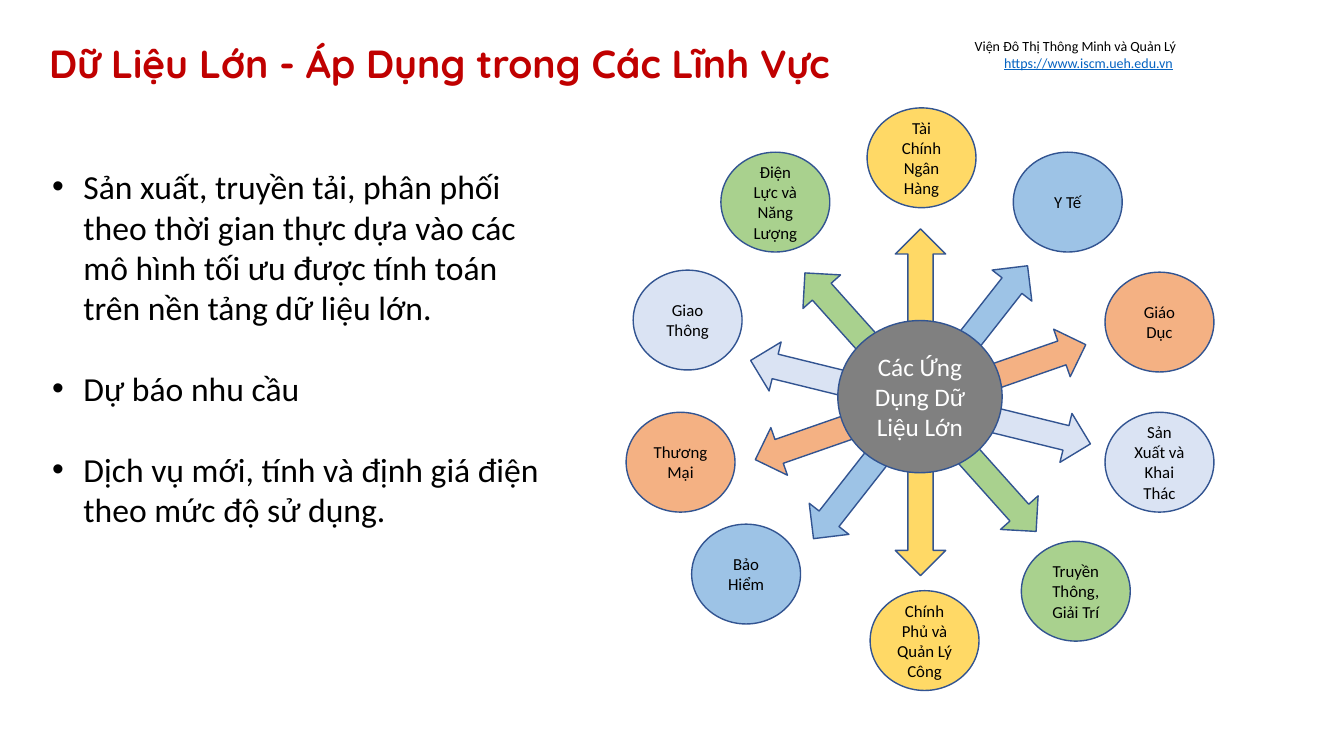
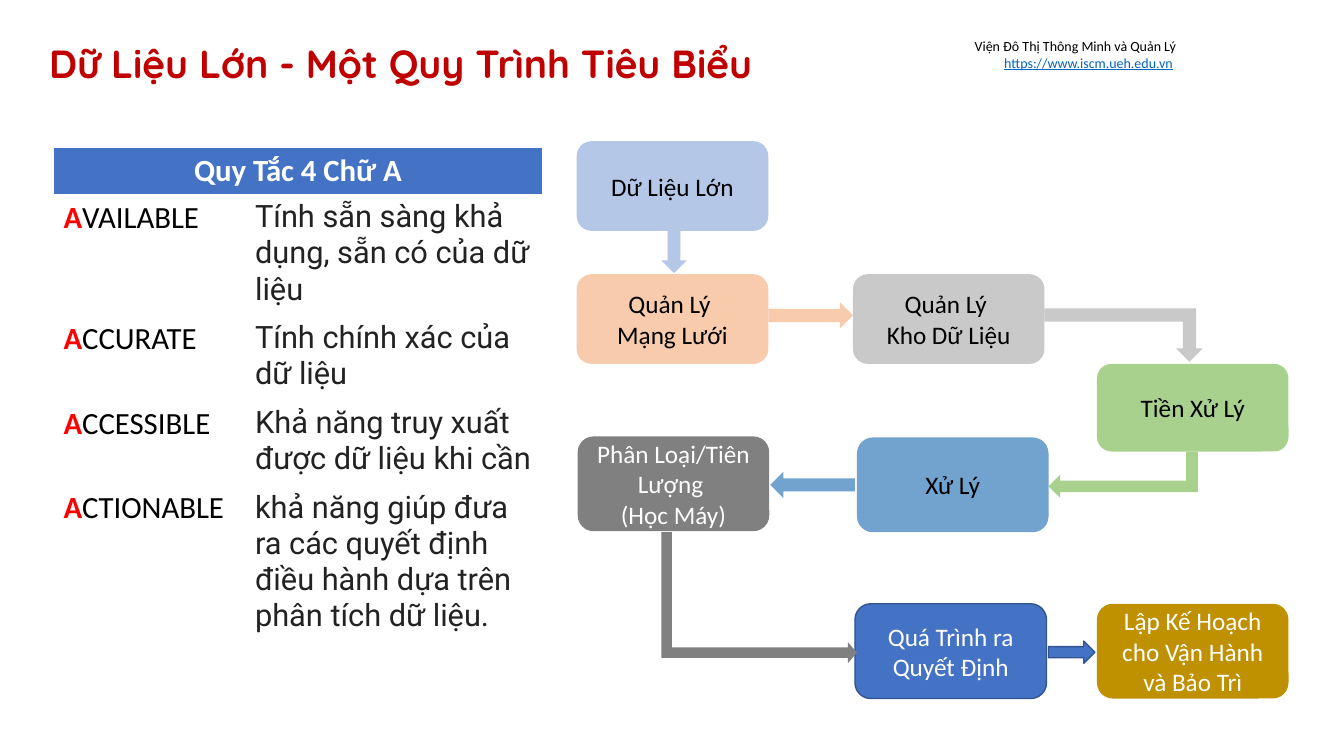
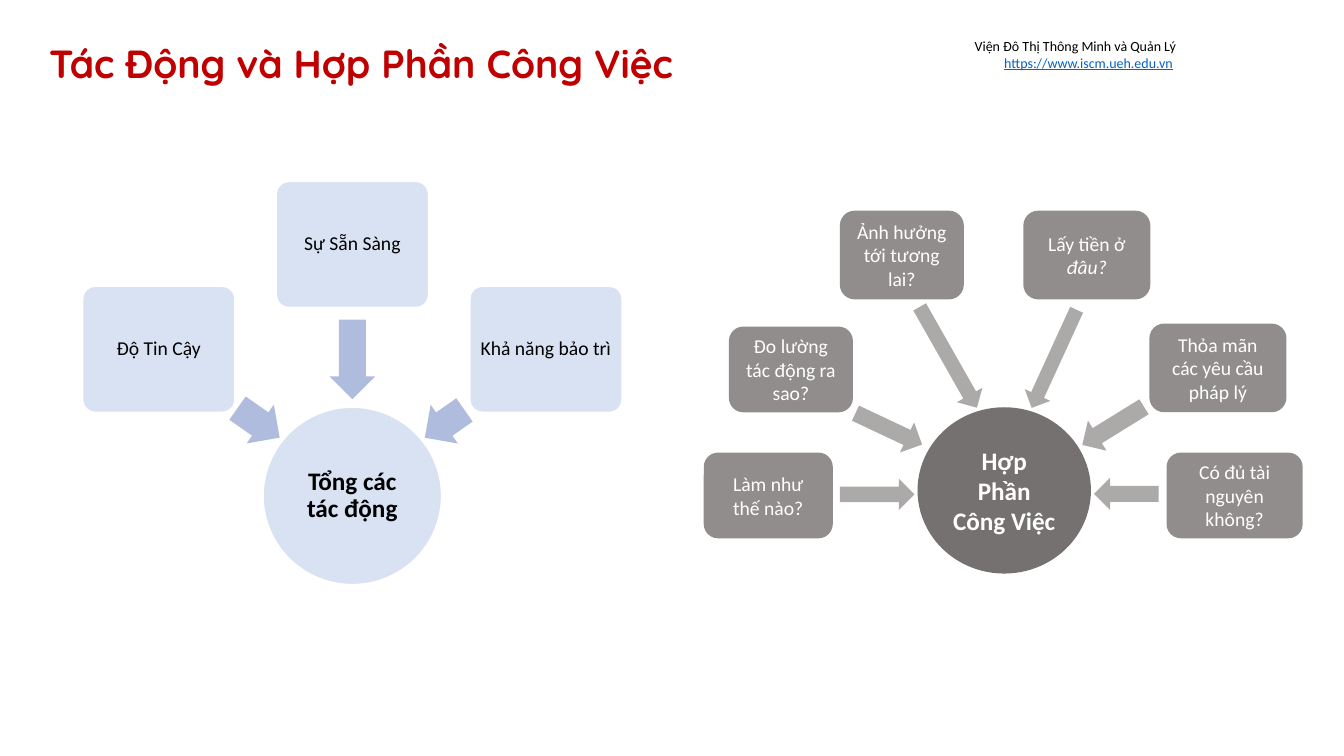
from collections import namedtuple
from dataclasses import dataclass

from lxml import etree
from pptx import Presentation
from pptx.dml.color import RGBColor
from pptx.enum.shapes import MSO_SHAPE
from pptx.enum.text import MSO_ANCHOR, PP_ALIGN
from pptx.oxml.ns import qn
from pptx.util import Pt

ELLIPSE = MSO_SHAPE.OVAL
ROUNDED = MSO_SHAPE.ROUNDED_RECTANGLE
LEFT_ARROW = MSO_SHAPE.LEFT_ARROW
RIGHT_ARROW = MSO_SHAPE.RIGHT_ARROW
DOWN_ARROW = MSO_SHAPE.DOWN_ARROW
BENT_ARROW = MSO_SHAPE.BENT_UP_ARROW
DOUBLE_ARROW = MSO_SHAPE.LEFT_RIGHT_ARROW
CENTER, RIGHT = PP_ALIGN.CENTER, PP_ALIGN.RIGHT
MIDDLE, BOTTOM = MSO_ANCHOR.MIDDLE, MSO_ANCHOR.BOTTOM

EMU_PER_PX = 9144  # 100 px to the inch

Box = namedtuple("Box", "left top width height")


@dataclass(frozen=True)
class Theme:
    title_font: str = "Quicksand"
    body_font: str = "Calibri"
    table_font: str = "Roboto"
    title_size: int = 28
    bullet_size: int = 24
    table_size: int = 22
    label_size: int = 18
    node_size: int = 14
    small_size: int = 12
    header_size: int = 10
    black: str = "000000"
    white: str = "FFFFFF"
    title: str = "C00000"
    link: str = "0563C1"
    initial: str = "FF0000"
    table_text: str = "222222"
    outline: str = "325491"
    blue: str = "4472C4"
    deep_blue: str = "2E75B6"
    sky: str = "9DC3E6"
    pale_blue: str = "DAE3F3"
    soft_blue: str = "B4C7E7"
    lavender: str = "B0BCDE"
    green: str = "A9D18E"
    yellow: str = "FFD966"
    gold: str = "BF9000"
    orange: str = "F4B183"
    peach: str = "F8CBAD"
    gray: str = "808080"
    light_gray: str = "C9C9C9"
    warm_gray: str = "767171"


THEME = Theme()


def px(value):
    return round(value * EMU_PER_PX)


def inside(box, left, top, width, height):
    """Turn offsets within a region into a box on the slide."""
    return Box(box.left + left, box.top + top, width, height)


def set_font(font, size, color, name=THEME.body_font, bold=None):
    font.size, font.name, font.bold = Pt(size), name, bold
    font.color.rgb = RGBColor.from_string(color)


def add_text_box(slide, box):
    frame = slide.shapes.add_textbox(*map(px, box)).text_frame
    frame.word_wrap = True
    return frame


def add_figure(slide, kind, box, fill, alpha=100, line=None, rotation=0,
               flip=False, adjustments=()):
    shape = slide.shapes.add_shape(kind, *map(px, box))
    shape.shadow.inherit = False
    shape.rotation = rotation
    shape.fill.solid()
    shape.fill.fore_color.rgb = RGBColor.from_string(fill)
    properties = shape._element.spPr
    if alpha < 100:
        color = properties.find(qn("a:solidFill"))[0]
        etree.SubElement(color, qn("a:alpha"), val=str(alpha * 1000))
    if flip:
        properties.find(qn("a:xfrm")).set("flipV", "1")
    if line:
        shape.line.color.rgb = RGBColor.from_string(line)
        shape.line.width = Pt(1)
    else:
        shape.line.fill.background()
    for index, value in enumerate(adjustments):
        shape.adjustments[index] = value
    return shape


def add_label(shape, text, size, color=THEME.black, bold=None, inset=None,
              spacing=None, italic_tail=""):
    frame = shape.text_frame
    frame.word_wrap = True
    frame.vertical_anchor = MIDDLE
    if inset is not None:
        frame.margin_left = frame.margin_right = px(inset)
        frame.margin_top = frame.margin_bottom = px(inset)
    frame.text = text
    if italic_tail:
        run = frame.paragraphs[-1].add_run()
        run.text = italic_tail
        run.font.italic = True
    for paragraph in frame.paragraphs:
        paragraph.alignment = CENTER
        paragraph.line_spacing = spacing
        set_font(paragraph.font, size, color, bold=bold)


def add_base_slide(presentation, title):
    slide = presentation.slides.add_slide(presentation.slide_layouts[6])
    # Title
    frame = add_text_box(slide, Box(39, 32, 1256, 64))
    frame.vertical_anchor = BOTTOM
    frame.margin_top = frame.margin_bottom = px(10)
    paragraph = frame.paragraphs[0]
    paragraph.text = title
    paragraph.line_spacing = 0.9
    set_font(paragraph.font, THEME.title_size, THEME.title, THEME.title_font, True)
    # Institute and web address
    paragraph = add_text_box(slide, Box(944, 32, 232, 44)).paragraphs[0]
    paragraph.alignment = RIGHT
    paragraph.add_run().text = "Viện Đô Thị Thông Minh và Quản Lý"
    paragraph.add_line_break()
    address = paragraph.add_run()
    address.text = "https://www.iscm.ueh.edu.vn"
    paragraph.add_run().text = " "
    set_font(paragraph.font, THEME.header_size, THEME.black)
    address.font.underline = True
    address.font.color.rgb = RGBColor.from_string(THEME.link)
    return slide


# Slide 1: bullets and the wheel of applications

def add_bullets(slide, box, texts):
    frame = add_text_box(slide, box)
    for index, text in enumerate(texts):
        paragraph = frame.add_paragraph() if index else frame.paragraphs[0]
        paragraph.text = text
        if index:
            paragraph.space_before = Pt(29)
        properties = paragraph._p.get_or_add_pPr()
        properties.set("marL", str(px(31)))
        properties.set("indent", str(px(-31)))
        etree.SubElement(properties, qn("a:buFont"), typeface="Arial")
        etree.SubElement(properties, qn("a:buChar"), char="•")
        set_font(paragraph.font, THEME.bullet_size, THEME.black)


def add_wheel(slide, box):
    colors = (THEME.green, THEME.yellow, THEME.sky, THEME.orange, THEME.pale_blue)
    # Double arrows through the hub
    spokes = ((48.2, 344), (270, 344), (308.1, 344), (340.8, 347), (13.8, 347))
    for color, (angle, length) in zip(colors, spokes):
        place = inside(box, 292 - length / 2, 267, length, 50)
        add_figure(slide, DOUBLE_ARROW, place, color, line=THEME.outline,
                   rotation=angle)
    # Fields, clockwise from the upper left
    fields = (
        (94, 44, "Điện Lực và Năng Lượng"),
        (239, 0, "Tài Chính Ngân Hàng"),
        (384, 44, "Y Tế"),
        (475, 163, "Giáo Dục"),
        (475, 302, "Sản Xuất và Khai Thác"),
        (392, 430, "Truyền Thông, Giải Trí"),
        (242, 479, "Chính Phủ và Quản Lý Công"),
        (65, 413, "Bảo Hiểm"),
        (0, 302, "Thương Mại"),
        (7, 161, "Giao Thông"),
    )
    for index, (left, top, text) in enumerate(fields):
        circle = add_figure(slide, ELLIPSE, inside(box, left, top, 108, 99),
                            colors[index % len(colors)], line=THEME.outline)
        add_label(circle, text, THEME.small_size)
    # Hub
    hub = add_figure(slide, ELLIPSE, inside(box, 210, 211, 163, 151), THEME.gray,
                     line=THEME.outline)
    add_label(hub, "Các Ứng Dụng Dữ Liệu Lớn", THEME.label_size, THEME.white)


# Slide 2: the four A's and the process

def add_rules_table(slide, box):
    rules = (
        ("VAILABLE", "Tính sẵn sàng khả dụng, sẵn có của dữ liệu"),
        ("CCURATE", "Tính chính xác của dữ liệu"),
        ("CCESSIBLE", "Khả năng truy xuất được dữ liệu khi cần"),
        ("CTIONABLE", "khả năng giúp đưa ra các quyết định điều hành "
                      "dựa trên phân tích dữ liệu."),
    )
    table = slide.shapes.add_table(len(rules) + 1, 2, *map(px, box)).table
    table.horz_banding = False
    for column, width in zip(table.columns, (190, box.width - 190)):
        column.width = px(width)
    for row, height in zip(table.rows, (45, 120, 84, 84, 157)):
        row.height = px(height)
    # Heading across both columns
    heading = table.cell(0, 0)
    heading.merge(table.cell(0, 1))
    heading.fill.solid()
    heading.fill.fore_color.rgb = RGBColor.from_string(THEME.blue)
    paragraph = heading.text_frame.paragraphs[0]
    paragraph.text = "Quy Tắc 4 Chữ A"
    paragraph.alignment = CENTER
    set_font(paragraph.font, THEME.table_size, THEME.white, bold=True)
    # One row for each rule
    for index, (rest, meaning) in enumerate(rules, start=1):
        word_cell, meaning_cell = table.cell(index, 0), table.cell(index, 1)
        word_cell.fill.background()
        meaning_cell.fill.background()
        paragraph = word_cell.text_frame.paragraphs[0]
        for text, color, bold in (("A", THEME.initial, True),
                                  (rest, THEME.black, False)):
            run = paragraph.add_run()
            run.text = text
            set_font(run.font, THEME.table_size, color, bold=bold)
        paragraph = meaning_cell.text_frame.paragraphs[0]
        paragraph.text = meaning
        set_font(paragraph.font, THEME.table_size, THEME.table_text,
                 THEME.table_font)


def add_process(slide, box):
    black, white = THEME.black, THEME.white
    see_through = {"alpha": 67}
    outlined = {"line": THEME.outline}
    # Steps: left, top, height, fill, text colour, text, options
    steps = (
        (0, 0, 89, THEME.soft_blue, black, "Dữ Liệu Lớn", {}),
        (0, 132, 89, THEME.peach, black, "Quản Lý \nMạng Lưới", {}),
        (274, 132, 89, THEME.light_gray, black, "Quản Lý \nKho Dữ Liệu", {}),
        (516, 221, 87, THEME.green, black, "Tiền Xử Lý", {}),
        (278, 294, 94, THEME.deep_blue, black, "Xử Lý", see_through),
        (1, 293, 94, THEME.gray, white, "Phân Loại/Tiên Lượng \v(Học Máy)", {}),
        (276, 459, 94, THEME.blue, white, "Quá Trình ra Quyết Định", outlined),
        (516, 459, 94, THEME.gold, white,
         "Lập Kế Hoạch cho Vận Hành và Bảo Trì", {}),
    )
    for left, top, height, fill, color, text, options in steps:
        step = add_figure(slide, ROUNDED, inside(box, left, top, 190, height),
                          fill, **options)
        add_label(step, text, THEME.label_size, color)
    # Arrows from step to step
    arrows = (
        (DOWN_ARROW, (84, 88, 25, 43), THEME.soft_blue, {}),
        (RIGHT_ARROW, (190, 160, 84, 26), THEME.peach, {}),
        (BENT_ARROW, (464, 166, 157, 53), THEME.light_gray, {"flip": True}),
        (BENT_ARROW, (519, 257, 46, 148), THEME.green,
         {"flip": True, "rotation": 90}),
        (RIGHT_ARROW, (192, 328, 84, 26), THEME.deep_blue,
         {"rotation": 180, **see_through}),
        (BENT_ARROW, (116, 356, 130, 194), THEME.gray,
         {"rotation": 90, "adjustments": (0.08, 0.08, 0.07)}),
        (RIGHT_ARROW, (468, 496, 46, 22), THEME.blue, outlined),
    )
    for kind, place, fill, options in arrows:
        add_figure(slide, kind, inside(box, *place), fill, **options)


# Slide 3: impacts and work components

def add_impacts(slide, box):
    pale = {"fill": THEME.blue, "alpha": 20, "line": THEME.white}
    total = add_figure(slide, ELLIPSE, inside(box, 182, 224, 177, 176), **pale)
    add_label(total, "Tổng các tác động", THEME.label_size, bold=True,
              inset=11, spacing=0.9)
    # Each impact and its arrow
    impacts = (
        (3, 104, "Độ Tin Cậy", (152, 216, 51, 47), 215),
        (195, 0, "Sự Sẵn Sàng", (231, 154, 79, 45), 270),
        (387, 104, "Khả năng bảo trì", (338, 217, 48, 47), 325),
    )
    for left, top, text, arrow, angle in impacts:
        add_figure(slide, LEFT_ARROW, inside(box, *arrow), THEME.lavender,
                   rotation=angle, adjustments=(0.6, 0.5))
        impact = add_figure(slide, ROUNDED, inside(box, left, top, 151, 125),
                            adjustments=(0.1,), **pale)
        add_label(impact, text, THEME.node_size, inset=6, spacing=0.9)


def add_components(slide, box):
    center = add_figure(slide, ELLIPSE, inside(box, 212, 195, 172, 165),
                        THEME.warm_gray)
    add_label(center, "Hợp Phần Công Việc", THEME.label_size, THEME.white, bold=True)
    # Each question and its arrow to the centre
    questions = (
        ((0, 240, 128, 85), "Làm như thế nào?", "", (135, 266, 74, 31), 0),
        ((25, 115, 123, 85), "Đo lường tác động ra sao?", "",
         (147, 200, 73, 33), 25.2),
        ((135, 0, 123, 88), "Ảnh hưởng tới tương lai?", "",
         (185, 131, 115, 29), 60.4),
        ((317, 0, 126, 88), "Lấy tiền ở ", "đâu?", (294, 133, 107, 28), 114.6),
        ((442, 112, 136, 88), "Thỏa mãn các yêu cầu pháp lý", "",
         (370, 196, 72, 35), 148.3),
        ((459, 240, 135, 85), "Có đủ tài nguyên không?", "",
         (387, 265, 64, 32), 180),
    )
    for place, text, italic_tail, arrow, angle in questions:
        question = add_figure(slide, ROUNDED, inside(box, *place),
                              THEME.warm_gray, alpha=80)
        add_label(question, text, THEME.node_size, THEME.white,
                  italic_tail=italic_tail)
        add_figure(slide, RIGHT_ARROW, inside(box, *arrow), THEME.warm_gray,
                   alpha=60, rotation=angle)


def main():
    presentation = Presentation()
    presentation.slide_width, presentation.slide_height = px(1333), px(750)

    slide = add_base_slide(presentation, "Dữ Liệu Lớn - Áp Dụng trong Các Lĩnh Vực")
    add_bullets(slide, Box(42, 160, 507, 374), (
        "Sản xuất, truyền tải, phân phối theo thời gian thực dựa vào các "
        "mô hình tối ưu được tính toán trên nền tảng dữ liệu lớn.",
        "Dự báo nhu cầu",
        "Dịch vụ mới, tính và định giá điện theo mức độ sử dụng.",
    ))
    add_wheel(slide, Box(621, 107, 583, 578))

    slide = add_base_slide(presentation, "Dữ Liệu Lớn - Một Quy Trình Tiêu Biểu")
    add_process(slide, Box(572, 140, 706, 553))
    add_rules_table(slide, Box(53, 146, 485, 490))

    slide = add_base_slide(presentation, "Tác Động và Hợp Phần Công Việc")
    add_impacts(slide, Box(79, 180, 541, 400))
    add_components(slide, Box(698, 209, 594, 360))

    presentation.save("out.pptx")


if __name__ == "__main__":
    main()
